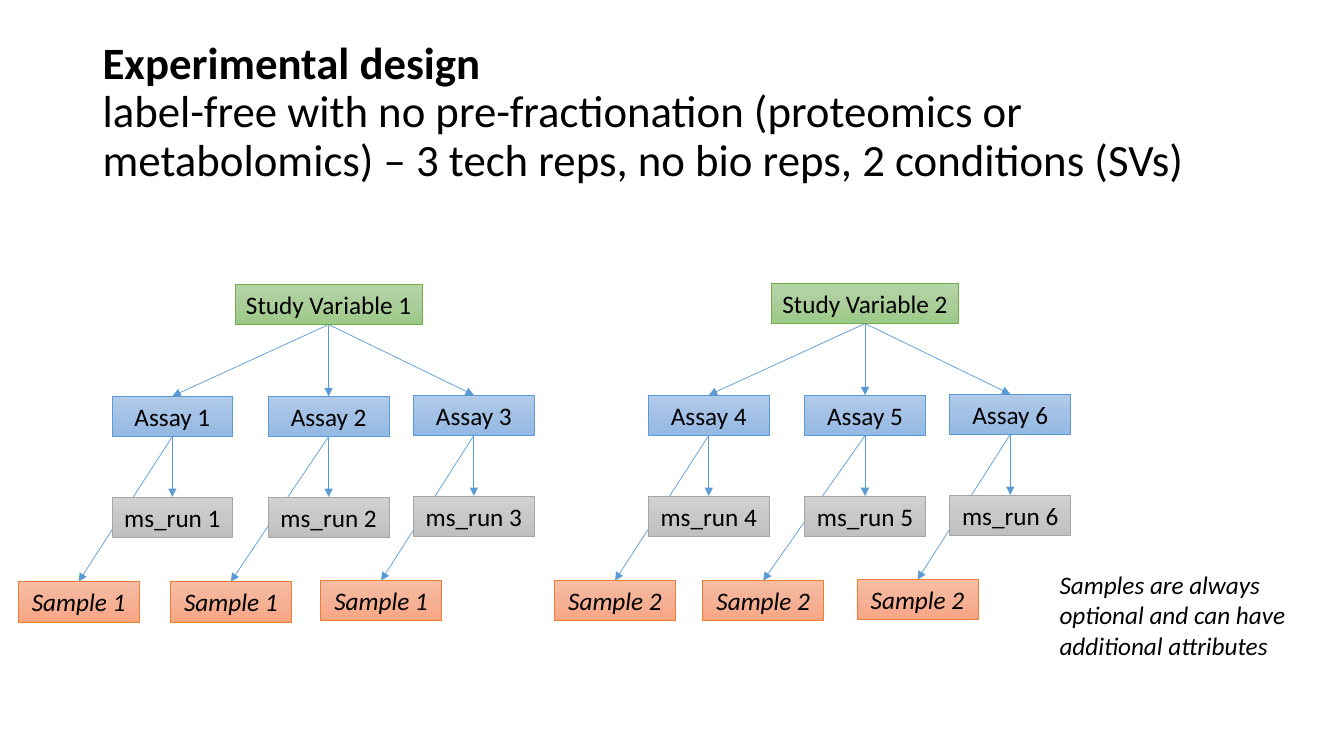
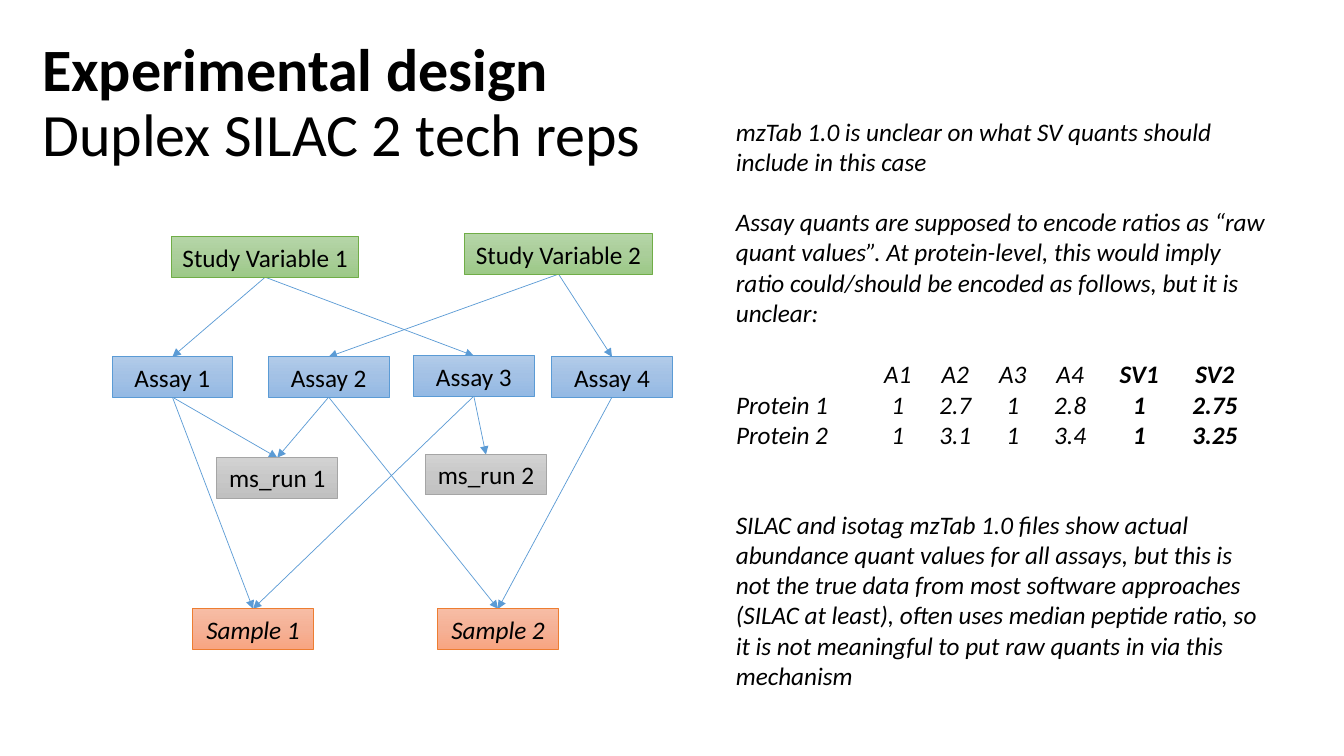
from copy import deepcopy

from lxml.etree import SubElement
from pptx import Presentation
from pptx.dml.color import RGBColor
from pptx.enum.shapes import MSO_CONNECTOR, MSO_SHAPE
from pptx.enum.text import MSO_ANCHOR, PP_ALIGN
from pptx.oxml.ns import qn
from pptx.util import Inches, Pt

FONT = "Calibri"
BLACK = "000000"
ARROW_BLUE = "5B9BD5"
BODY_SIZE = 18
BOX_HEIGHT = 0.4
BOTTOM, TOP = 2, 0

# kind: (width, gradient from top to bottom, outline, italic)
BOX_STYLES = {
    "variable": (1.86, ("B5D5A7", "AACE9A", "9CC987"), "70AD47", False),
    "assay": (1.2, ("B1CBE9", "A3C1E5", "93B9E4"), "5B9BD5", False),
    "run": (1.2, ("D2D2D2", "C8C8C8", "C0C0C0"), "A5A5A5", False),
    "sample": (1.2, ("F7BDA5", "F5B196", "F8A582"), "ED7D31", True),
}


def color(hex_string):
    return RGBColor.from_string(hex_string)


class Deck:
    """Holds the presentation, its style and the current slide."""

    def __init__(self):
        self.presentation = Presentation()
        self.presentation.slide_width = Inches(13.33)
        self.presentation.slide_height = Inches(7.5)
        self.slide = None

    def new_slide(self):
        layout = self.presentation.slide_layouts[6]
        self.slide = self.presentation.slides.add_slide(layout)

    def add_run(self, paragraph, text, size=BODY_SIZE, bold=False, italic=False):
        run = paragraph.add_run()
        run.text = text
        font = run.font
        font.name, font.size = FONT, Pt(size)
        font.bold, font.italic = bold, italic
        font.color.rgb = color(BLACK)

    def text_frame(self, left, top, width, height):
        """Add a wrapping text box and return its text frame."""
        shape = self.slide.shapes.add_textbox(
            Inches(left), Inches(top), Inches(width), Inches(height))
        shape.text_frame.word_wrap = True
        return shape.text_frame

    def title(self, left, top, subtitle, size):
        frame = self.text_frame(left, top, 11.5, 1.45)
        frame.vertical_anchor = MSO_ANCHOR.MIDDLE
        paragraph = frame.paragraphs[0]
        paragraph.line_spacing = 0.9
        self.add_run(paragraph, "Experimental design", size, bold=True)
        paragraph.add_line_break()
        self.add_run(paragraph, subtitle, size)

    def note(self, left, top, width, height, texts):
        """Add italic paragraphs, one line apart."""
        frame = self.text_frame(left, top, width, height)
        for index, text in enumerate(texts):
            paragraph = frame.add_paragraph() if index else frame.paragraphs[0]
            paragraph.space_before = Pt(21.6 if index else 0)
            self.add_run(paragraph, text, italic=True)

    def box(self, kind, text, left, top):
        width, gradient, outline, italic = BOX_STYLES[kind]
        shape = self.slide.shapes.add_shape(
            MSO_SHAPE.RECTANGLE, Inches(left), Inches(top),
            Inches(width), Inches(BOX_HEIGHT))
        shape.shadow.inherit = False
        shape.fill.gradient()
        shape.fill.gradient_angle = 270
        stop_list = shape._element.spPr.find(".//" + qn("a:gsLst"))
        stop_list.insert(1, deepcopy(stop_list[0]))
        for index, stop in enumerate(shape.fill.gradient_stops):
            stop.position = index / 2
            stop.color.rgb = color(gradient[index])
        shape.line.color.rgb = color(outline)
        shape.line.width = Pt(0.5)
        shape.text_frame.word_wrap = False
        paragraph = shape.text_frame.paragraphs[0]
        paragraph.alignment = PP_ALIGN.CENTER
        self.add_run(paragraph, text, italic=italic)
        return shape

    def arrow(self, source, target):
        """Point from the bottom of one box to the top of another, behind all boxes."""
        connector = self.slide.shapes.add_connector(MSO_CONNECTOR.STRAIGHT, 0, 0, 0, 0)
        connector.begin_connect(source, BOTTOM)
        connector.end_connect(target, TOP)
        connector.line.color.rgb = color(ARROW_BLUE)
        connector.line.width = Pt(0.5)
        properties = connector._element.spPr
        SubElement(properties.find(qn("a:ln")), qn("a:tailEnd"), type="triangle")
        SubElement(properties, qn("a:effectLst"))
        connector._element.getparent().insert(2, connector._element)

    def table(self, left, top, widths, rows, bold_from):
        """Add a plain italic table, bold from the given column on."""
        row_height = Inches(0.3)
        table = self.slide.shapes.add_table(
            len(rows), len(widths), Inches(left), Inches(top),
            Inches(sum(widths)), row_height * len(rows)).table
        table.first_row = table.horz_banding = False
        for column, width in zip(table.columns, widths):
            column.width = Inches(width)
        for row, values in zip(table.rows, rows):
            row.height = row_height
            for index, (cell, value) in enumerate(zip(row.cells, values)):
                cell.fill.background()
                cell.margin_left = cell.margin_right = 0
                cell.margin_top = cell.margin_bottom = 0
                paragraph = cell.text_frame.paragraphs[0]
                paragraph.alignment = PP_ALIGN.CENTER if index else PP_ALIGN.LEFT
                self.add_run(paragraph, value, bold=index >= bold_from, italic=True)


def label_free_slide(deck):
    deck.new_slide()
    deck.title(0.92, 0.4, "label-free with no pre-fractionation (proteomics or "
               "metabolomics) – 3 tech reps, no bio reps, 2 conditions (SVs)", 32)
    assay_offsets = ((-1.22, 1.11), (0.33, 1.11), (1.77, 1.1))
    groups = ((2.33, 2.82, (0.18, 1.69, 3.18)), (7.65, 2.81, (5.5, 6.97, 8.5)))
    number = 0
    for group, (left, top, sample_lefts) in enumerate(groups, 1):
        variable = deck.box("variable", f"Study Variable {group}", left, top)
        for (across, down), sample_left in zip(assay_offsets, sample_lefts):
            number += 1
            assay_left, assay_top = left + across, top + down
            assay = deck.box("assay", f"Assay {number}", assay_left, assay_top)
            run = deck.box("run", f"ms_run {number}", assay_left, assay_top + 1)
            sample = deck.box("sample", f"Sample {group}", sample_left, assay_top + 1.84)
            deck.arrow(variable, assay)
            deck.arrow(assay, run)
            deck.arrow(assay, sample)
    deck.note(10.41, 5.6, 2.68, 1.01,
              ["Samples are always optional and can have additional attributes"])


def silac_slide(deck):
    deck.new_slide()
    deck.title(0.32, 0.31, "Duplex SILAC 2 tech reps", 42.9)
    tiers = (
        ("variable", "Study Variable", ((1.7, 2.35), (4.61, 2.32))),
        ("assay", "Assay", ((1.11, 3.54), (2.66, 3.54), (4.1, 3.53), (5.47, 3.54))),
        ("run", "ms_run", ((2.15, 4.54), (4.22, 4.51))),
        ("sample", "Sample", ((1.91, 6.04), (4.34, 6.04))),
    )
    boxes = {kind: [deck.box(kind, f"{label} {number}", left, top)
                    for number, (left, top) in enumerate(places, 1)]
             for kind, label, places in tiers}
    for index, assay in enumerate(boxes["assay"]):
        condition, replicate = index % 2, index // 2
        deck.arrow(boxes["variable"][condition], assay)
        deck.arrow(assay, boxes["sample"][condition])
        if index < 3:
            deck.arrow(assay, boxes["run"][replicate])

    deck.note(7.2, 1.1, 5.5, 2.2, [
        "mzTab 1.0 is unclear on what SV quants should include in this case",
        "Assay quants are supposed to encode ratios as “raw quant values”. "
        "At protein-level, this would imply ratio could/should be encoded as "
        "follows, but it is unclear:"])
    deck.table(7.3, 3.57, [1.32] + [0.57] * 4 + [0.8, 0.7], [
        ("", "A1", "A2", "A3", "A4", "SV1", "SV2"),
        ("Protein 1", "1", "2.7", "1", "2.8", "1", "2.75"),
        ("Protein 2", "1", "3.1", "1", "3.4", "1", "3.25")], bold_from=5)
    deck.note(7.2, 5, 5.5, 1.9, [
        "SILAC and isotag mzTab 1.0 files show actual abundance quant values for "
        "all assays, but this is not the true data from most software approaches "
        "(SILAC at least), often uses median peptide ratio, so it is not "
        "meaningful to put raw quants in via this mechanism"])


def main():
    deck = Deck()
    label_free_slide(deck)
    silac_slide(deck)
    deck.presentation.save("out.pptx")


if __name__ == "__main__":
    main()
